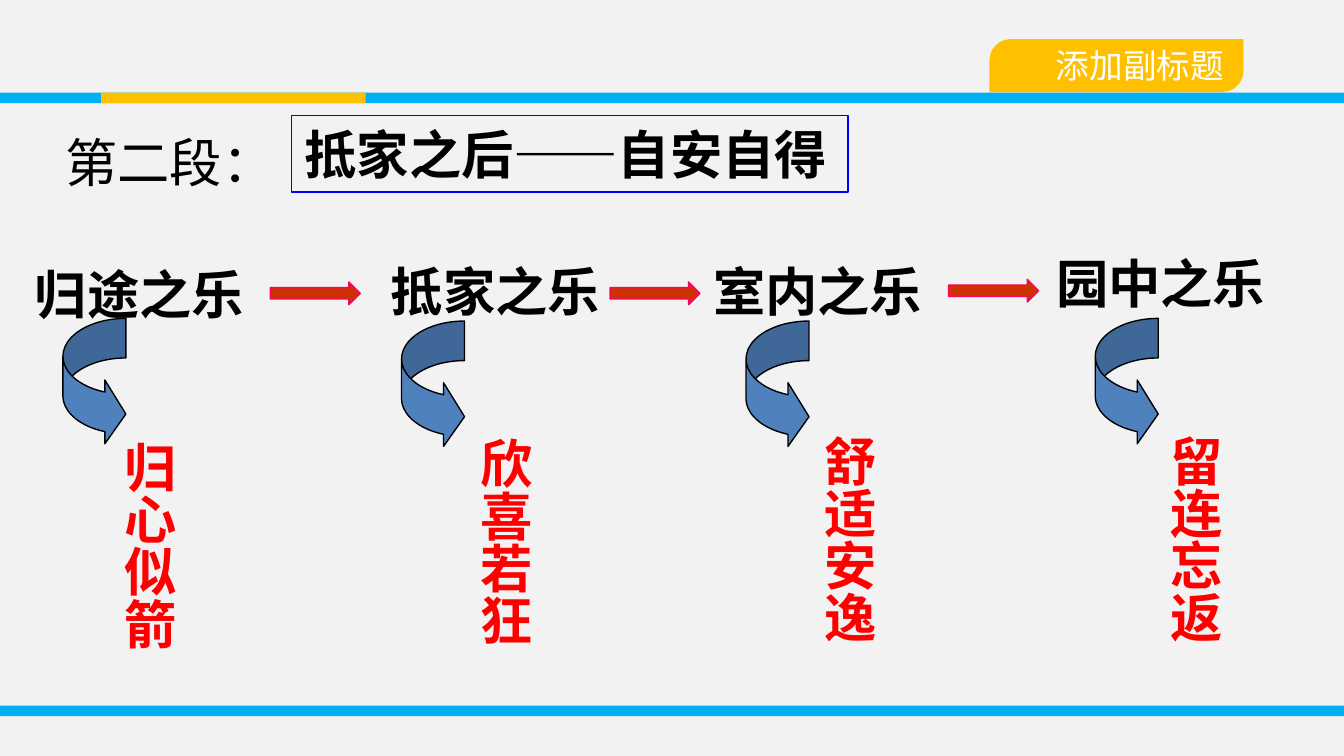
from dataclasses import dataclass
from pptx import Presentation
from pptx.dml.color import RGBColor
from pptx.enum.shapes import MSO_SHAPE
from pptx.enum.text import MSO_ANCHOR, PP_ALIGN
from pptx.util import Cm, Pt

RECT = MSO_SHAPE.RECTANGLE
TAB = MSO_SHAPE.ROUND_2_DIAG_RECTANGLE
ARROW = MSO_SHAPE.RIGHT_ARROW
CURVED = MSO_SHAPE.CURVED_RIGHT_ARROW
TOP = MSO_ANCHOR.TOP
LEFT, RIGHT = PP_ALIGN.LEFT, PP_ALIGN.RIGHT

WIDTH, HEIGHT = 25.4, 14.29
LINE_H = 1.45
BAR_H = 0.2
BLUE, YELLOW = "00B0F0", "FFC000"


@dataclass
class Stage:
    label: str
    mood: str
    label_at: tuple[float, float]
    label_w: float
    mood_at: tuple[float, float]
    mood_h: float
    curve_at: tuple[float, float]


STAGES = [
    Stage("归途之乐", "归心似箭", (0.41, 4.83), 5.23, (1.83, 8.1), 4.83, (1.19, 6.02)),
    Stage("抵家之乐", "欣喜若狂", (7.14, 4.78), 4.88, (8.56, 8.03), 4.62, (7.59, 6.07)),
    Stage("室内之乐", "舒适安逸", (13.23, 4.78), 5.54, (15.06, 7.98), 4.83, (14.1, 6.07)),
    Stage("园中之乐", "留连忘返", (19.71, 4.62), 4.9, (21.59, 7.98), 4.62, (20.7, 6.02)),
]
ARROWS = [(5.11, 5.33), (11.53, 5.33), (17.93, 5.28)]


def rgb(color: str) -> RGBColor:
    return RGBColor.from_string(color)


def add_shape(s, kind, x: float, y: float, w: float, h: float,
              fill: str = "", line: str = "", adj: tuple = ()):
    sp = s.shapes.add_shape(kind, Cm(x), Cm(y), Cm(w), Cm(h))
    sp.shadow.inherit = False
    if fill:
        sp.fill.solid()
        sp.fill.fore_color.rgb = rgb(fill)
    else:
        sp.fill.background()
    if line:
        sp.line.color.rgb = rgb(line)
        sp.line.width = Pt(0.75)
    else:
        sp.line.fill.background()
    for i, value in enumerate(adj):
        sp.adjustments[i] = value
    return sp


def set_text(sp, text: str, *, size: float = 28, color: str = "000000",
             font: str = "Calibri", bold: bool = False, align=LEFT,
             wrap: bool = True, vertical: bool = False):
    tf = sp.text_frame
    tf.word_wrap = wrap
    tf.vertical_anchor = TOP
    if vertical:
        tf._txBody.bodyPr.set("vert", "eaVert")
    p = tf.paragraphs[0]
    p.alignment = align
    r = p.add_run()
    r.text = text
    r.font.size = Pt(size)
    r.font.name = font
    r.font.bold = bold
    r.font.color.rgb = rgb(color)
    return tf


def add_text(s, text: str, x: float, y: float, w: float, h: float, **fmt):
    return set_text(s.shapes.add_textbox(Cm(x), Cm(y), Cm(w), Cm(h)), text, **fmt)


def add_stage(s, stage: Stage):
    add_text(s, stage.label, *stage.label_at, stage.label_w, LINE_H, bold=True)
    add_text(s, stage.mood, *stage.mood_at, 1.7, stage.mood_h,
             color="FF0000", bold=True, vertical=True)
    add_shape(s, CURVED, *stage.curve_at, 1.19, 2.41,
              fill="4F81BD", line="000000", adj=(0.628, 1.255, 0.333))


def main():
    prs = Presentation()
    prs.slide_width, prs.slide_height = Cm(WIDTH), Cm(HEIGHT)
    s = prs.slides.add_slide(prs.slide_layouts[6])
    s.background.fill.solid()
    s.background.fill.fore_color.rgb = rgb("F2F2F2")

    for y in (13.34, 1.75):
        add_shape(s, RECT, 0, y, WIDTH, BAR_H, fill=BLUE)
    add_shape(s, RECT, 1.91, 1.75, 5, BAR_H, fill=YELLOW)
    tab = add_shape(s, TAB, 18.7, 0.74, 4.8, 1, fill=YELLOW, adj=(0.4, 0))
    tf = set_text(tab, "添加副标题", size=18, color="FFFFFF", align=RIGHT)
    tf.margin_top = tf.margin_bottom = 0

    add_text(s, "第二段：", 0.99, 2.34, 5.72, LINE_H)
    title = add_shape(s, RECT, 5.51, 2.18, 10.52, LINE_H, line="0000FF")
    set_text(title, "抵家之后——自安自得", font="Times New Roman", bold=True, wrap=False)

    for stage in STAGES:
        add_stage(s, stage)
    for x, y in ARROWS:
        add_shape(s, ARROW, x, y, 1.7, 0.43, fill="CC3300", line="FF0066")
    prs.save("out.pptx")


if __name__ == "__main__":
    main()
